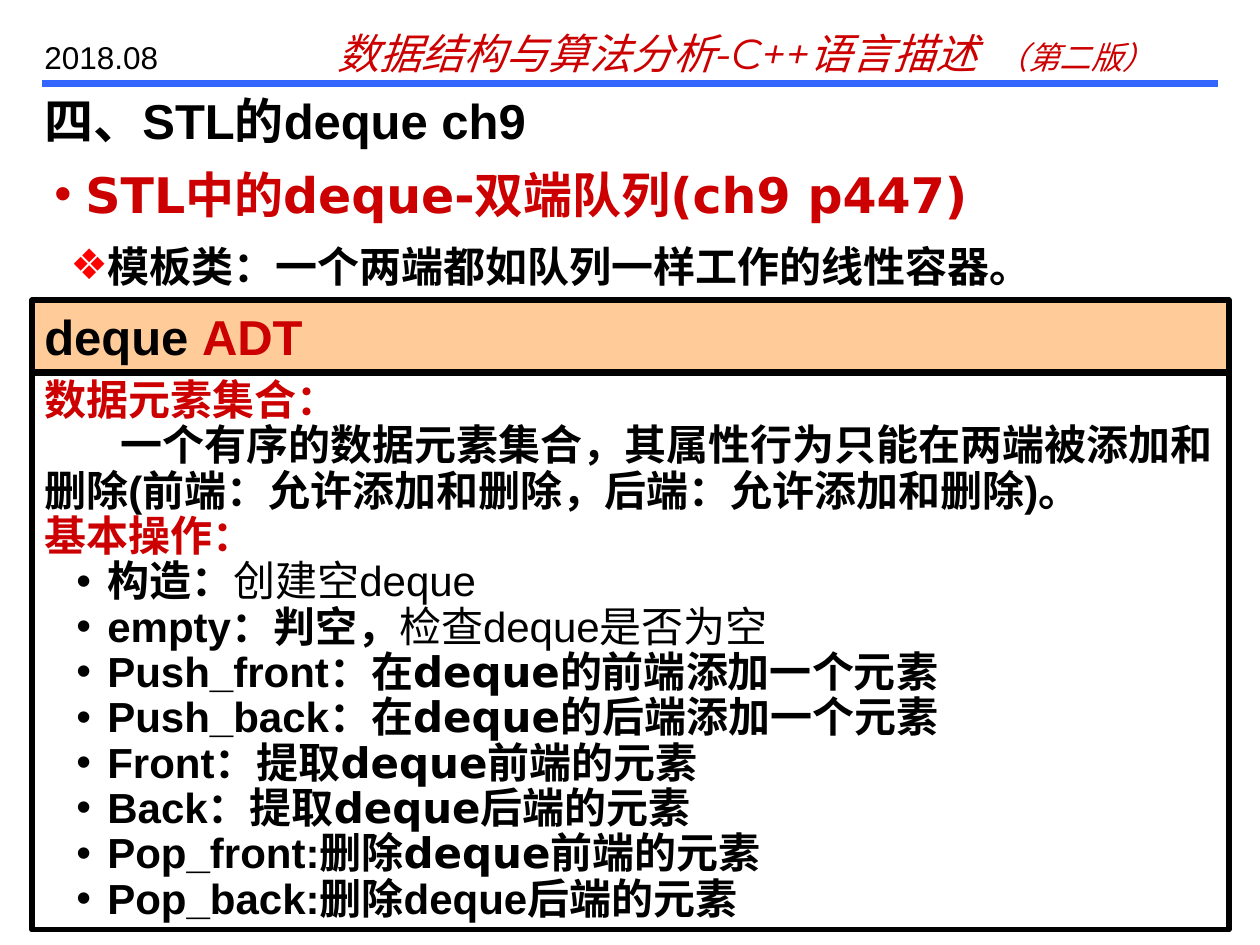
from lxml import etree
from pptx import Presentation
from pptx.dml.color import RGBColor
from pptx.enum.shapes import MSO_CONNECTOR, MSO_SHAPE
from pptx.enum.text import MSO_ANCHOR, MSO_AUTO_SIZE, PP_ALIGN
from pptx.oxml.ns import qn
from pptx.util import Pt

PX = 914400 // 126
TOP, MIDDLE = MSO_ANCHOR.TOP, MSO_ANCHOR.MIDDLE
LEFT = PP_ALIGN.LEFT
NO_RESIZE = MSO_AUTO_SIZE.NONE
RECTANGLE, STRAIGHT = MSO_SHAPE.RECTANGLE, MSO_CONNECTOR.STRAIGHT

COLORS = {"black": "000000", "red": "CC0000", "bright": "FF0000",
          "blue": "3366FF", "peach": "FFCC99"}
SANS, WIDE, HEADER = "Arial", "DejaVu Sans", "Montserrat"

# Content: a paragraph is a list of (text, format changes)
COURSE = [("数据结构与算法分析-C++语言描述  ", {}), ("（第二版）", {"size": 18})]
DATE = [("2018.08", {})]
TITLE = [("四、STL的deque ch9", {})]
TOPIC = [("STL中的deque-双端队列(ch9 p447)", {})]
SUMMARY = [("模板类：一个两端都如队列一样工作的线性容器。", {})]
ADT_NAME = [("deque ", {}), ("ADT", {"color": "red"})]
ELEMENTS_HEAD = [("数据元素集合：", {"color": "red"})]
ELEMENTS = [("一个有序的数据元素集合，其属性行为只能在两端被添加和删除"
             "(前端：允许添加和删除，后端：允许添加和删除)。", {})]
OPERATIONS_HEAD = [("基本操作：", {"color": "red"})]
PLAIN, BROAD = {"bold": False}, {"font": WIDE}
OPERATIONS = [
    [("构造：", {}), ("创建空deque", PLAIN)],
    [("empty：判空，", {}), ("检查deque是否为空", PLAIN)],
    [("Push_front：在", {}), ("deque的前端添加一个元素", BROAD)],
    [("Push_back：在", {}), ("deque的后端添加一个元素", BROAD)],
    [("Front：", {}), ("提取deque前端的元素", BROAD)],
    [("Back：提取", {}), ("deque后端的元素", BROAD)],
    [("Pop_front:", {}), ("删除deque前端的元素", BROAD)],
    [("Pop_back:删除deque后端的元素", {})],
]


def rgb(name):
    return RGBColor.from_string(COLORS[name])


def set_indent(paragraph, margin, indent, bullet=None, bullet_color="black"):
    properties = paragraph._p.get_or_add_pPr()
    properties.set("marL", str(margin * PX))
    properties.set("indent", str(indent * PX))
    if bullet:
        color = etree.SubElement(properties, qn("a:buClr"))
        etree.SubElement(color, qn("a:srgbClr"), val=COLORS[bullet_color])
        etree.SubElement(properties, qn("a:buFont"), typeface=SANS)
        etree.SubElement(properties, qn("a:buChar"), char=bullet)


def write(shape, paragraphs, size=24, font=SANS, color="black", bold=True,
          italic=False, anchor=TOP, spacing=None):
    frame = shape.text_frame
    frame.word_wrap = True
    frame.auto_size = NO_RESIZE
    frame.vertical_anchor = anchor
    base = {"size": size, "font": font, "color": color, "bold": bold}
    for index, runs in enumerate(paragraphs):
        paragraph = frame.add_paragraph() if index else frame.paragraphs[0]
        paragraph.alignment = LEFT
        if spacing:
            paragraph.line_spacing = spacing
        for text, changes in runs:
            style = {**base, **changes}
            run = paragraph.add_run()
            run.text = text
            run.font.size = Pt(style["size"])
            run.font.name = style["font"]
            run.font.bold = style["bold"]
            run.font.italic = italic
            run.font.color.rgb = rgb(style["color"])
    return frame.paragraphs


def add_box(slide, *place):
    return slide.shapes.add_textbox(*(value * PX for value in place))


def add_panel(slide, *place, fill=None):
    panel = slide.shapes.add_shape(RECTANGLE, *(value * PX for value in place))
    panel.shadow.inherit = False
    if fill:
        panel.fill.solid()
        panel.fill.fore_color.rgb = rgb(fill)
    else:
        panel.fill.background()
    panel.line.color.rgb = rgb("black")
    panel.line.width = Pt(3)
    return panel


def main():
    presentation = Presentation()
    presentation.slide_width = 1260 * PX
    presentation.slide_height = 945 * PX
    slide = presentation.slides.add_slide(presentation.slide_layouts[5])

    # Page header
    rule = slide.shapes.add_connector(STRAIGHT, 42 * PX, 84 * PX, 1218 * PX, 84 * PX)
    rule.line.color.rgb = rgb("blue")
    rule.line.width = Pt(4)
    etree.SubElement(rule._element.spPr, qn("a:effectLst"))
    write(add_box(slide, 325, 21, 882, 63), [COURSE], font=HEADER, color="red",
          bold=False, italic=True)
    write(add_box(slide, 32, 32, 179, 50), [DATE], size=18, bold=False)

    # Title
    title = slide.shapes.title
    title.left, title.top, title.width, title.height = (
        value * PX for value in (32, 84, 1144, 63))
    write(title, [TITLE], size=28)

    # Topic and summary
    topic = write(add_box(slide, 42, 158, 1153, 72), [TOPIC], size=28,
                  font=WIDE, color="red")
    set_indent(topic[0], 31, -31, "•", "red")
    summary = write(add_box(slide, 58, 234, 1150, 63), [SUMMARY], font=WIDE)
    set_indent(summary[0], 36, -36, "❖", "bright")

    # ADT card
    write(add_panel(slide, 32, 300, 1197, 72, fill="peach"), [ADT_NAME],
          size=28, anchor=MIDDLE)
    description = [ELEMENTS_HEAD, ELEMENTS, OPERATIONS_HEAD]
    body = write(add_panel(slide, 32, 373, 1197, 557), description + OPERATIONS,
                 spacing=0.9)
    set_indent(body[1], 0, 76)
    for paragraph in body[len(description):]:
        paragraph.level = 1
        set_indent(paragraph, 63, -31, "•")

    presentation.save("out.pptx")


if __name__ == "__main__":
    main()
